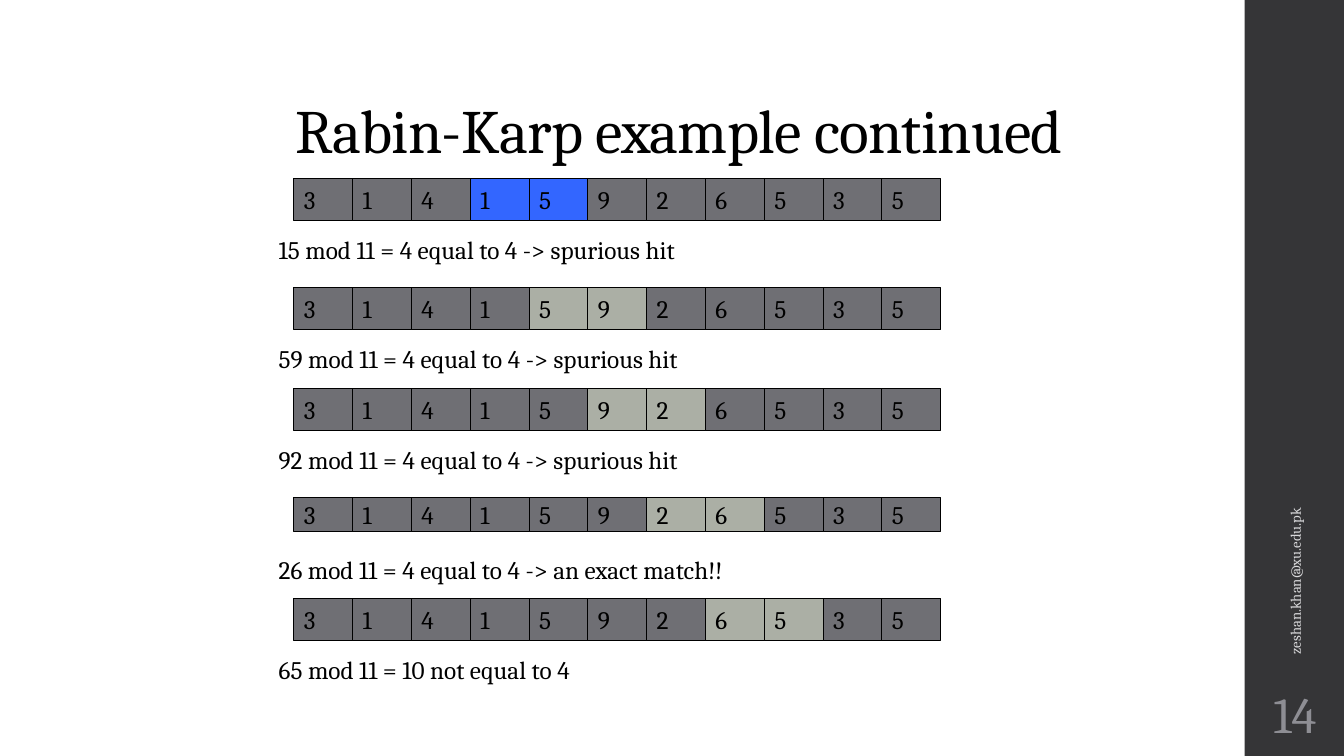
import pptx
import pptx.dml.color
import pptx.enum.shapes
import pptx.enum.text
import pptx.util

Pt = pptx.util.Pt
RGBColor = pptx.dml.color.RGBColor
Align = pptx.enum.text.PP_ALIGN
Anchor = pptx.enum.text.MSO_ANCHOR

BLACK = RGBColor(0x00, 0x00, 0x00)
SIDEBAR = RGBColor(0x35, 0x35, 0x37)
CONTACT = RGBColor(0xD9, 0xD9, 0xDB)
NUMBER = RGBColor(0x8E, 0x8E, 0x94)
CELL = RGBColor(0x6F, 0x6F, 0x74)
BLUE = RGBColor(0x33, 0x66, 0xFF)
SAGE = RGBColor(0xAB, 0xAF, 0xA5)

DIGITS = "31415926535"
CELL_LEFT, CELL_WIDTH = 210, 42
WINDOW = 2

# row top, row height, first digit of the window, window colour, caption top, caption
STEPS = [
    (127.5, 30, 3, BLUE, 163.5, "15 mod 11 = 4 equal to 4 -> spurious hit"),
    (205.5, 30, 4, SAGE, 241.5, "59 mod 11 = 4 equal to 4 -> spurious hit"),
    (277.5, 30, 5, SAGE, 313.5, "92 mod 11 = 4 equal to 4 -> spurious hit"),
    (355.5, 24, 6, SAGE, 392.5, "26 mod 11 = 4 equal to 4 -> an exact match!!"),
    (427.5, 30, 7, SAGE, 463.5, "65 mod 11 = 10 not equal to 4"),
]


class SlideBuilder:
    font = "Cambria"

    def __init__(self, page):
        self.page = page

    def add_text(self, box, text, size, color, align=Align.LEFT, anchor=Anchor.MIDDLE, wrap=True):
        frame = box.text_frame
        frame.word_wrap = wrap
        frame.vertical_anchor = anchor
        para = frame.paragraphs[0]
        para.alignment = align
        span = para.add_run()
        span.text = text
        span.font.name = self.font
        span.font.size = Pt(size)
        span.font.color.rgb = color
        return para

    def title(self, text, left, top, width, height):
        box = self.page.shapes.title
        box.left, box.top, box.width, box.height = map(Pt, (left, top, width, height))
        para = self.add_text(box, text, 44, BLACK, anchor=Anchor.BOTTOM)
        para.line_spacing = 0.9
        box.text_frame.auto_size = pptx.enum.text.MSO_AUTO_SIZE.NONE
        box.element.xpath(".//a:rPr")[0].set("spc", "-50")

    def rectangle(self, left, top, width, height, fill, line=None):
        box = self.page.shapes.add_shape(
            pptx.enum.shapes.MSO_SHAPE.RECTANGLE, Pt(left), Pt(top), Pt(width), Pt(height))
        box.shadow.inherit = False
        box.fill.solid()
        box.fill.fore_color.rgb = fill
        if line is None:
            box.line.fill.background()
        else:
            box.line.color.rgb = line
            box.line.width = Pt(0.75)
        return box

    def label(self, text, left, top, width, height, size, color, **layout):
        box = self.page.shapes.add_textbox(Pt(left), Pt(top), Pt(width), Pt(height))
        self.add_text(box, text, size, color, **layout)
        return box

    def digit_row(self, top, height, start, highlight):
        for index, digit in enumerate(DIGITS):
            fill = highlight if start <= index < start + WINDOW else CELL
            box = self.rectangle(CELL_LEFT + index * CELL_WIDTH, top, CELL_WIDTH, height, fill, BLACK)
            self.add_text(box, digit, 18, BLACK, wrap=False)


def main():
    deck = pptx.Presentation()
    deck.slide_width, deck.slide_height = Pt(960), Pt(540)
    builder = SlideBuilder(deck.slides.add_slide(deck.slide_layouts[5]))

    builder.rectangle(889, 0, 72, 540, SIDEBAR)
    contact = builder.label("zeshan.khan@xu.edu.pk", 784, 319, 282, 28.8, 10.5, CONTACT)
    contact.rotation = 270
    builder.label("14", 889, 486, 72, 46.8, 36, NUMBER, align=Align.CENTER)
    builder.title("Rabin-Karp example continued", 204, 20, 756, 103)

    for top, height, start, highlight, caption_top, caption in STEPS:
        builder.digit_row(top, height, start, highlight)
        builder.label(caption, 192, caption_top, 466, 29, 18, BLACK, anchor=Anchor.TOP)

    deck.save("out.pptx")


if __name__ == "__main__":
    main()
